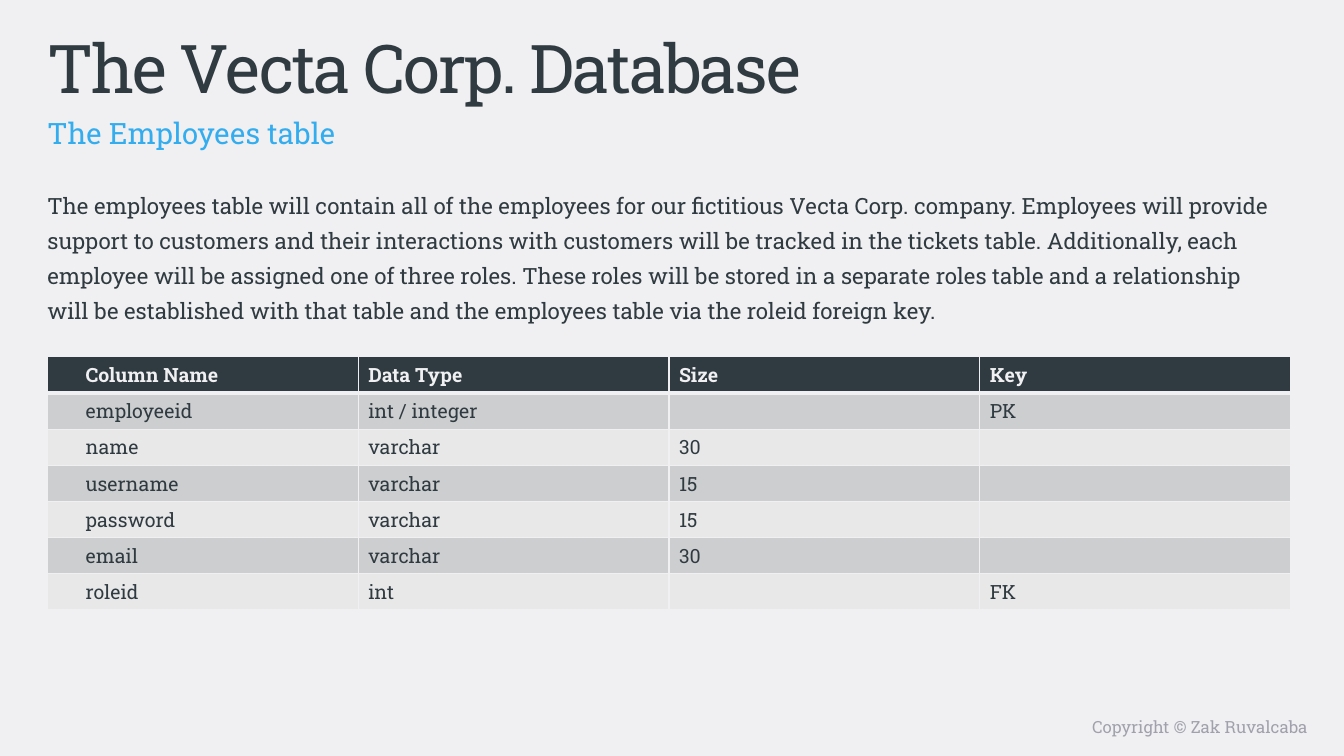
from pptx import Presentation
from pptx.dml.color import RGBColor
from pptx.enum.text import MSO_ANCHOR as Anchor, MSO_AUTO_SIZE as AutoSize, PP_ALIGN as Align
from pptx.oxml.ns import qn
from pptx.util import Inches, Pt
from lxml.etree import SubElement

FONT = "Roboto Slab"
PAPER, INK, BLUE, GREY = "F0F0F2", "303B41", "34ADEF", "A1A1AD"
BANDS = ("CDCECF", "E8E8E9")

INTRO = (
    "The employees table will contain all of the employees for our fictitious Vecta Corp. company. "
    "Employees will provide support to customers and their interactions with customers will be "
    "tracked in the tickets table. Additionally, each employee will be assigned one of three roles. "
    "These roles will be stored in a separate roles table and a relationship will be established "
    "with that table and the employees table via the roleid foreign key."
)
COLUMNS = [
    ("Column Name", "Data Type", "Size", "Key"),
    ("employeeid", "int / integer", "", "PK"),
    ("name", "varchar", "30", ""),
    ("username", "varchar", "15", ""),
    ("password", "varchar", "15", ""),
    ("email", "varchar", "30", ""),
    ("roleid", "int", "", "FK"),
]


def color(value):
    return RGBColor.from_string(value)


def add_run(paragraph, text, size, ink, bold=False):
    run = paragraph.add_run()
    run.text = text
    run.font.name = FONT
    run.font.size = Pt(size)
    run.font.bold = bold
    run.font.color.rgb = color(ink)
    return run


def place_text(holder, box, text, size, ink, align=Align.LEFT, line_spacing=1.0):
    holder.left, holder.top, holder.width, holder.height = map(Inches, box)
    frame = holder.text_frame
    frame.word_wrap = True
    frame.auto_size = AutoSize.NONE
    frame.vertical_anchor = Anchor.TOP
    paragraph = frame.paragraphs[0]
    # Plain paragraph: no bullet, no hanging indent
    properties = paragraph._p.get_or_add_pPr()
    properties.set("marL", "0")
    properties.set("indent", "0")
    SubElement(properties, qn("a:buNone"))
    paragraph.alignment = align
    paragraph.line_spacing = line_spacing
    paragraph.space_before = Pt(0)
    return add_run(paragraph, text, size, ink)


def set_borders(cell, bottom_width):
    properties = cell._tc.get_or_add_tcPr()
    for side, width in (("lnL", 1), ("lnR", 1), ("lnT", 1), ("lnB", bottom_width)):
        line = SubElement(properties, qn(f"a:{side}"), w=str(Pt(width)))
        fill = SubElement(line, qn("a:solidFill"))
        SubElement(fill, qn("a:srgbClr"), val=PAPER)


def add_column_table(slide, rows, left, top, width, height):
    table = slide.shapes.add_table(
        len(rows), len(rows[0]), Inches(left), Inches(top), Inches(width), Inches(height)
    ).table
    for row_index, row in enumerate(rows):
        header = row_index == 0
        band = INK if header else BANDS[(row_index - 1) % 2]
        for column_index, text in enumerate(row):
            cell = table.cell(row_index, column_index)
            # Borders come before the fill in the cell properties
            set_borders(cell, 3 if header else 1)
            cell.fill.solid()
            cell.fill.fore_color.rgb = color(band)
            cell.margin_left = Inches(0.38 if column_index == 0 else 0.1)
            paragraph = cell.text_frame.paragraphs[0]
            paragraph.font.size = Pt(14)
            if text:
                add_run(paragraph, text, 14, PAPER if header else INK, header)


def main():
    deck = Presentation()
    deck.slide_width, deck.slide_height = Inches(13.33), Inches(7.5)
    slide = deck.slides.add_slide(deck.slide_layouts[3])
    slide.background.fill.solid()
    slide.background.fill.fore_color.rgb = color(PAPER)

    # Heading and introduction
    title, intro, subtitle = slide.placeholders
    heading = place_text(title, (0.37, 0.21, 11.76, 0.79), "The Vecta Corp. Database", 48, INK)
    heading.font._element.set("spc", "-150")
    place_text(subtitle, (0.37, 0.99, 11.76, 0.39), "The Employees table", 21, BLUE, line_spacing=1.3)
    place_text(intro, (0.37, 1.78, 12.44, 1.68), INTRO, 16, INK, line_spacing=1.3)

    # Database columns
    add_column_table(slide, COLUMNS, 0.47, 3.54, 12.33, 2.5)

    # Copyright line
    footer = slide.shapes.add_textbox(0, 0, 0, 0)
    place_text(footer, (6.67, 7.06, 6.4, 0.31), "Copyright © Zak Ruvalcaba", 12, GREY, Align.RIGHT)

    deck.save("out.pptx")


if __name__ == "__main__":
    main()
